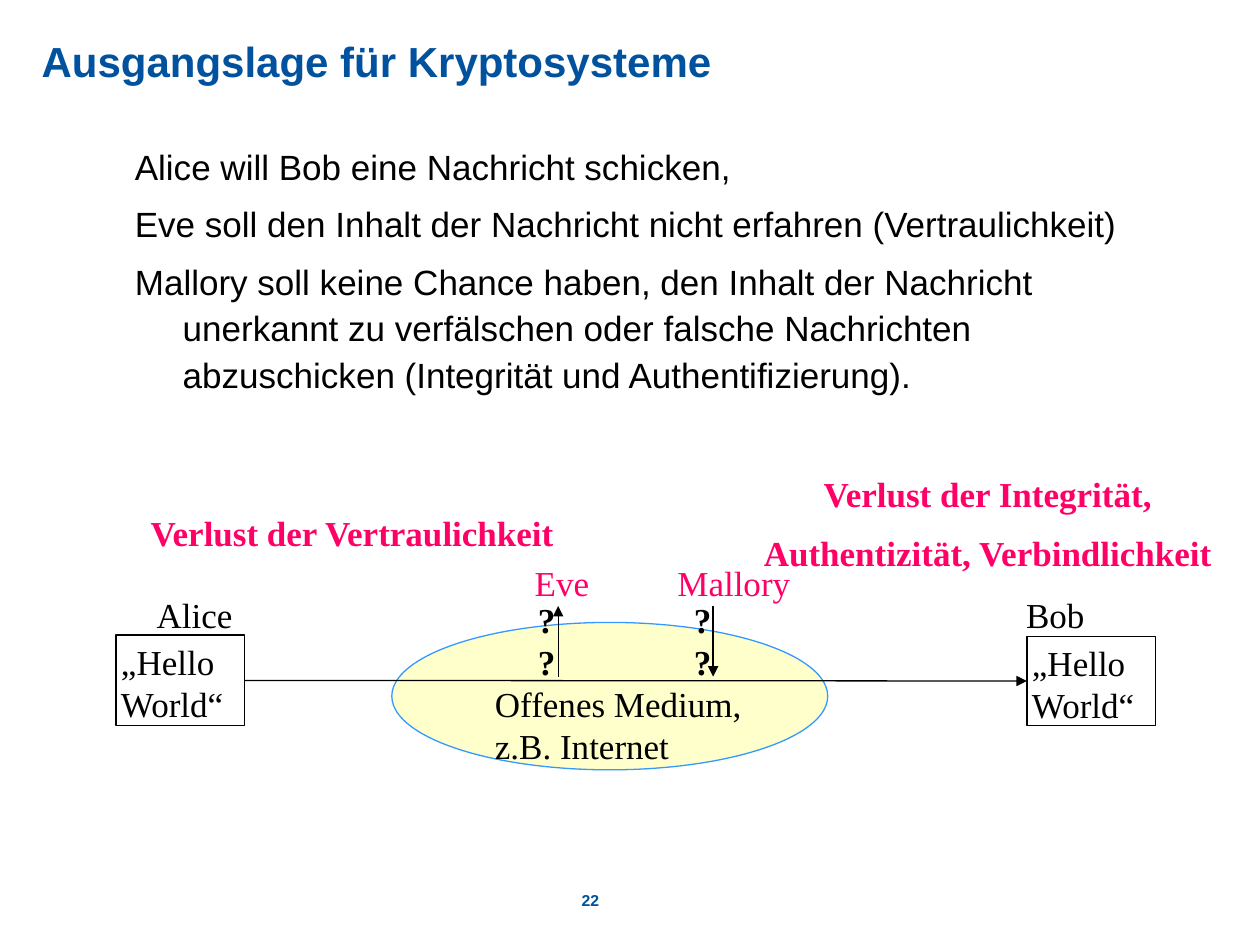
from lxml import etree
from pptx import Presentation
from pptx.dml.color import RGBColor
from pptx.enum.shapes import MSO_CONNECTOR, MSO_SHAPE
from pptx.enum.text import MSO_ANCHOR, PP_ALIGN
from pptx.oxml.ns import qn
from pptx.util import Inches, Pt

STRAIGHT = MSO_CONNECTOR.STRAIGHT
RECTANGLE, OVAL = MSO_SHAPE.RECTANGLE, MSO_SHAPE.OVAL
TOP, MIDDLE = MSO_ANCHOR.TOP, MSO_ANCHOR.MIDDLE
LEFT, CENTER = PP_ALIGN.LEFT, PP_ALIGN.CENTER

BLUE = RGBColor(0x00, 0x52, 0x9F)
PINK = RGBColor(0xFF, 0x00, 0x66)
BLACK = RGBColor(0x00, 0x00, 0x00)
WHITE = RGBColor(0xFF, 0xFF, 0xFF)
CREAM = RGBColor(0xFF, 0xFF, 0xCC)
SKY = RGBColor(0x33, 0x99, 0xFF)

presentation = Presentation()
presentation.slide_width, presentation.slide_height = Inches(10), Inches(7.5)
slide = presentation.slides.add_slide(presentation.slide_layouts[5])
shapes = slide.shapes

# Grid: 100 columns by 75 rows of square cells
CELL = presentation.slide_width // 100


def grid(*cells):
    return [round(cell * CELL) for cell in cells]


def write(shape, lines, margin=0, wrap=True, anchor=TOP, align=LEFT,
          font=None, spacing=None):
    """Fill a shape with paragraphs; font and spacing hold format values."""
    frame = shape.text_frame
    frame.word_wrap, frame.vertical_anchor = wrap, anchor
    for side in ("left", "top", "right", "bottom"):
        setattr(frame, f"margin_{side}", Inches(margin))
    frame.text = "\n".join(lines)
    look = {"name": "Times New Roman", "size": Pt(20), "bold": False} | (font or {})
    color = look.pop("color", BLACK)
    for paragraph in frame.paragraphs:
        paragraph.alignment = align
        for name, value in (spacing or {}).items():
            setattr(paragraph, name, value)
        for name, value in look.items():
            setattr(paragraph.font, name, value)
        paragraph.font.color.rgb = color


# Title
title = shapes.title
title.left, title.top, title.width, title.height = grid(3.3, 1.3, 80.5, 7.1)
write(title, ["Ausgangslage für Kryptosysteme"], anchor=MIDDLE,
      font={"name": "Arial", "size": Pt(24), "bold": True, "color": BLUE})

# Requirements with hanging indent
requirements = shapes.add_textbox(*grid(10.7, 11.2, 81.5, 45))
write(requirements, [
    "Alice will Bob eine Nachricht schicken,",
    "Eve soll den Inhalt der Nachricht nicht erfahren (Vertraulichkeit)",
    "Mallory soll keine Chance haben, den Inhalt der Nachricht unerkannt zu "
    "verfälschen oder falsche Nachrichten abzuschicken (Integrität und "
    "Authentifizierung).",
], font={"name": "Arial"}, spacing={"line_spacing": 1.11, "space_after": Pt(6)})
for paragraph in requirements.text_frame.paragraphs:
    properties = paragraph._p.get_or_add_pPr()
    properties.set("marL", str(Inches(0.38)))
    properties.set("indent", str(-Inches(0.38)))

# Names of the parties
for name, cells, color in [
    ("Bob", (75, 47.1, 17.5, 2.6), BLACK),
    ("Eve", (41.8, 44.6, 5.6, 2.6), PINK),
    ("Mallory", (53.1, 44.6, 10.3, 2.6), PINK),
    ("Alice", (6.7, 47.1, 17.5, 2.3), BLACK),
]:
    label = shapes.add_shape(RECTANGLE, *grid(*cells))
    label.shadow.inherit = False
    label.fill.solid()
    label.fill.fore_color.rgb = WHITE
    label.line.fill.background()
    write(label, [name], align=CENTER, font={"color": color})

# Open medium and the two message boxes
nodes = []
for kind, cells, fill, line, text in [
    (OVAL, (31.1, 49.4, 34.6, 11.7), CREAM, SKY, ""),
    (RECTANGLE, (9.2, 50.4, 10.2, 7.2), WHITE, BLACK, "„Hello World“"),
    (RECTANGLE, (81.5, 50.5, 10.2, 7.1), WHITE, BLACK, "„Hello World“"),
]:
    node = shapes.add_shape(kind, *grid(*cells))
    node.shadow.inherit = False
    node.fill.solid()
    node.fill.fore_color.rgb = fill
    node.line.color.rgb = line
    node.line.width = Pt(0.75)
    if text:
        write(node, [text], margin=0.04)
    nodes.append(node)
medium, alice_box, bob_box = nodes

medium_text = shapes.add_textbox(*grid(38.3, 53.7, 24.3, 11))
write(medium_text, ["Offenes Medium, z.B. Internet"], margin=0.1)
medium_text.text_frame.margin_top = Inches(0.05)

# Question marks beside the attackers' arrows
for left in (41.7, 54.1):
    question = shapes.add_textbox(*grid(left, 47, 5.7, 3))
    write(question, ["?\v?"], margin=0.1, font={"bold": True})
    question.text_frame.margin_top = Inches(0.05)

# Arrows: Eve listens, Mallory injects, Alice sends to Bob
eve_arrow = shapes.add_connector(STRAIGHT, *grid(44.3, 53.7, 44.3, 48.1))
mallory_arrow = shapes.add_connector(STRAIGHT, *grid(56.6, 48.1, 56.6, 53.7))
message_arrow = shapes.add_connector(STRAIGHT, *grid(19.4, 54, 81.5, 54.1))
message_arrow.begin_connect(alice_box, 3)
message_arrow.end_connect(bob_box, 1)
for arrow in (eve_arrow, mallory_arrow, message_arrow):
    arrow.line.color.rgb = BLACK
    arrow.line.width = Pt(0.75)
    etree.SubElement(arrow.line._get_or_add_ln(), qn("a:tailEnd"), type="triangle")
    etree.SubElement(arrow._element.spPr, qn("a:effectLst"))

# Security losses
for lines, cells in [
    (["Verlust der Integrität,", "Authentizität, Verbindlichkeit"],
     (59.5, 37, 37.8, 7.7)),
    (["Verlust der Vertraulichkeit"], (10.7, 40.1, 34.5, 4.3)),
]:
    loss = shapes.add_textbox(*grid(*cells))
    write(loss, lines, margin=0.05, wrap=False, align=CENTER,
          font={"bold": True, "color": PINK})
    for paragraph in loss.text_frame.paragraphs[1:]:
        paragraph.space_before = Pt(10)

# Page number
page_number = shapes.add_textbox(*grid(42.9, 70.7, 7.9, 3))
write(page_number, ["22"], align=CENTER,
      font={"name": "Arial", "size": Pt(9), "bold": True, "color": BLUE})

presentation.save("out.pptx")
